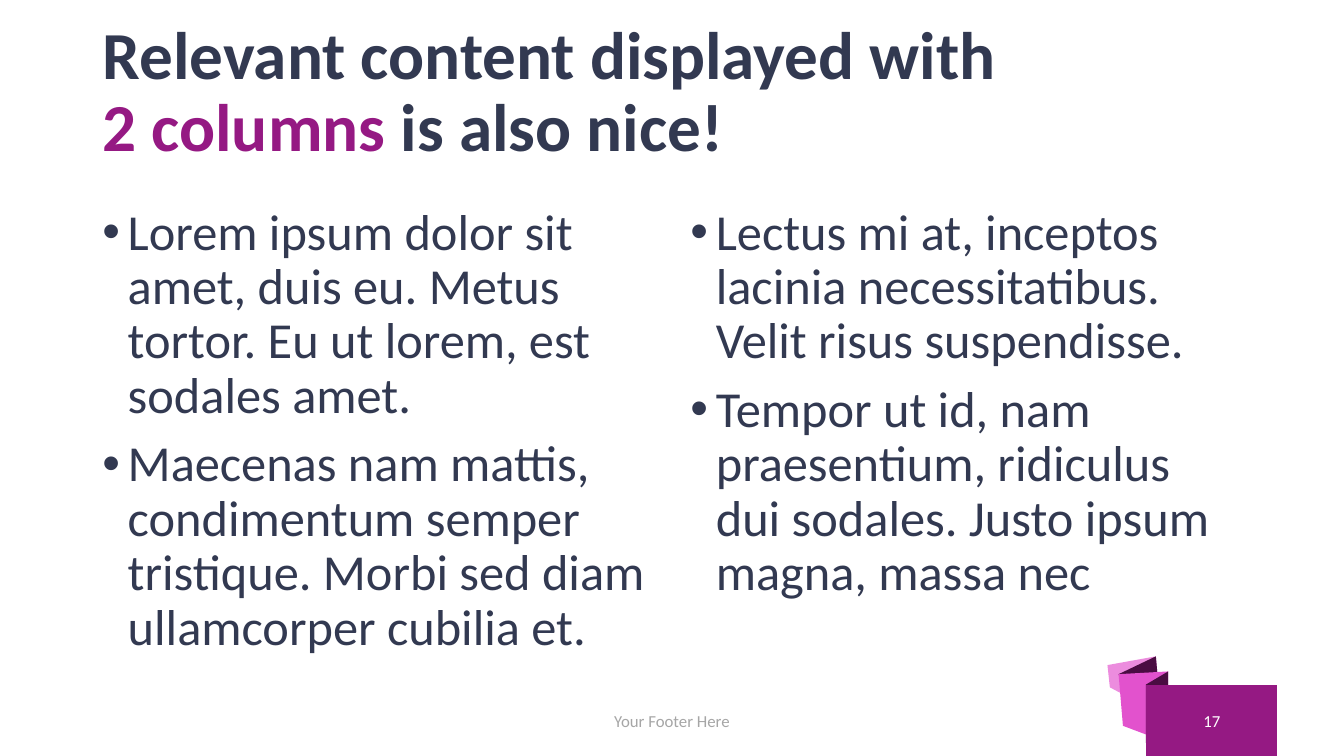
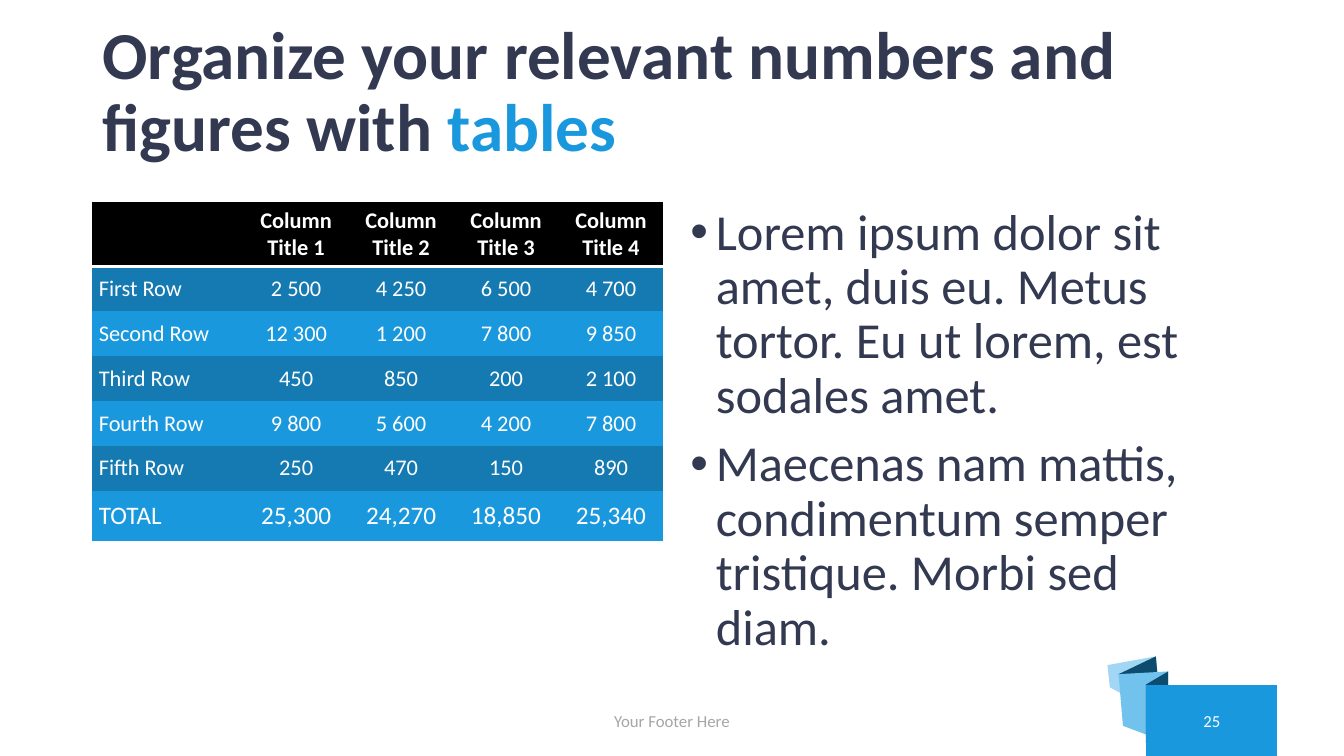
import lxml.etree
import pptx
import pptx.dml.color
import pptx.enum.text
import pptx.oxml.ns
import pptx.util

Cm = pptx.util.Cm
Pt = pptx.util.Pt
qn = pptx.oxml.ns.qn
ALIGN = pptx.enum.text.PP_ALIGN
MIDDLE = pptx.enum.text.MSO_ANCHOR.MIDDLE

FONT = "Calibri"
INK, GREY, WHITE, BLACK = "323951", "A6A6A6", "FFFFFF", "000000"
PURPLE = {"light": "EC8CDE", "mid": "E252CD", "base": "951983", "dark": "4A0C42"}
BLUE = {"light": "A1D7F4", "mid": "72C2EE", "base": "1A98DD", "dark": "0D4C6E",
        "row": "157AB1"}

# All positions are in centimetres.
SLIDE_WIDTH, SLIDE_HEIGHT = 33.87, 19.05
LEFT, CONTENT_WIDTH = 2.33, 29.21
BODY_TOP, BODY_HEIGHT = 5.08, 12.09
COLUMN_WIDTH = 14.39
RIGHT_COLUMN = LEFT + CONTENT_WIDTH - COLUMN_WIDTH
FOOTER_TOP, FOOTER_HEIGHT = 17.65, 1.02
FOOTER_WIDTH = 11.43

RIBBON = [
    ("light", [(29.26, 18.01), (27.97, 17.32), (27.91, 16.76), (29.13, 16.54)]),
    ("dark", [(28.63, 18.29), (29.26, 18.01), (29.13, 16.54), (28.19, 16.99)]),
    ("mid", [(28.19, 16.99), (29.44, 16.92), (29.44, 18.72), (28.3, 18.29)]),
    ("dark", [(29.44, 18.72), (28.88, 18.72), (28.88, 17.25), (29.44, 16.92)]),
    ("base", [(28.88, 17.25), (32.18, 17.25), (32.18, 19.05), (28.88, 19.05)]),
]


def rgb(color):
    return pptx.dml.color.RGBColor.from_string(color)


def box(left, top, width, height):
    return Cm(left), Cm(top), Cm(width), Cm(height)


def write(paragraph, text, size, color, bold=False):
    run = paragraph.add_run()
    run.text = text
    run.font.name = FONT
    run.font.size = Pt(size)
    run.font.bold = bold
    run.font.color.rgb = rgb(color)


def add_bullet(paragraph):
    properties = paragraph._p.get_or_add_pPr()
    properties.set("marL", str(Cm(0.64)))
    properties.set("indent", str(-Cm(0.64)))
    lxml.etree.SubElement(properties, qn("a:buFont")).set("typeface", "Arial")
    lxml.etree.SubElement(properties, qn("a:buChar")).set("char", "•")


def underline_cell(cell, color, width):
    """Give a table cell a bottom border; borders must precede the fill."""
    border = lxml.etree.Element(qn("a:lnB"), w=str(Pt(width)))
    fill = lxml.etree.SubElement(border, qn("a:solidFill"))
    lxml.etree.SubElement(fill, qn("a:srgbClr")).set("val", color)
    cell._tc.get_or_add_tcPr().insert(0, border)


class Deck:
    """Holds the presentation, the current slide and its accent palette."""

    def __init__(self):
        self.presentation = pptx.Presentation()
        self.presentation.slide_width = Cm(SLIDE_WIDTH)
        self.presentation.slide_height = Cm(SLIDE_HEIGHT)

    def start_slide(self, palette, number, title_lines):
        """Add a slide; title_lines holds lines of (text, color) pairs."""
        layout = self.presentation.slide_layouts[5]
        self.slide = self.presentation.slides.add_slide(layout)
        self.palette = palette
        self.title(title_lines)
        self.ribbon()
        self.caption("Your Footer Here", (SLIDE_WIDTH - FOOTER_WIDTH) / 2,
                     FOOTER_WIDTH, GREY)
        self.caption(number, 29.54, 2, WHITE)

    def title(self, lines):
        title = self.slide.shapes.title
        title.left, title.top, title.width, title.height = box(
            LEFT, 0.79, CONTENT_WIDTH, 3.15)
        frame = title.text_frame
        frame.auto_size = pptx.enum.text.MSO_AUTO_SIZE.NONE
        frame.word_wrap = True
        frame.vertical_anchor = MIDDLE
        paragraph = frame.paragraphs[0]
        paragraph.alignment = ALIGN.LEFT
        paragraph.line_spacing = 0.9
        for index, line in enumerate(lines):
            if index:
                paragraph.add_line_break()
            for text, color in line:
                write(paragraph, text, 48, color, bold=True)

    def ribbon(self):
        folds = self.slide.shapes.add_group_shape().shapes
        for tone, corners in RIBBON:
            points = [(Cm(x), Cm(y)) for x, y in corners]
            outline = folds.build_freeform(*points[0])
            outline.add_line_segments(points[1:], close=True)
            fold = outline.convert_to_shape()
            fold.shadow.inherit = False
            fold.fill.solid()
            fold.fill.fore_color.rgb = rgb(self.palette[tone])
            fold.line.fill.background()

    def text_frame(self, left, top, width, height):
        frame = self.slide.shapes.add_textbox(*box(left, top, width, height)).text_frame
        frame.word_wrap = True
        return frame

    def caption(self, text, left, width, color):
        frame = self.text_frame(left, FOOTER_TOP, width, FOOTER_HEIGHT)
        frame.vertical_anchor = MIDDLE
        frame.paragraphs[0].alignment = ALIGN.CENTER
        write(frame.paragraphs[0], text, 12, color)

    def bullets(self, left, items):
        frame = self.text_frame(left, BODY_TOP, COLUMN_WIDTH, BODY_HEIGHT)
        for index, item in enumerate(items):
            paragraph = frame.add_paragraph() if index else frame.paragraphs[0]
            paragraph.line_spacing = 0.9
            paragraph.space_before = Pt(10)
            add_bullet(paragraph)
            write(paragraph, item, 36, INK)

    def table(self, rows):
        """Draw rows with a black header and a larger total in the last row."""
        label_width, header_height, row_height, total_height = 3.81, 1.64, 1.13, 1.27
        heights = [header_height] + [row_height] * (len(rows) - 2) + [total_height]
        graphic = self.slide.shapes.add_table(
            len(rows), len(rows[0]),
            *box(LEFT, BODY_TOP, COLUMN_WIDTH, sum(heights)))
        table = graphic.table
        table.first_row = table.horz_banding = False
        no_style_no_grid = "{2D5ABB26-0587-4C30-8999-92F81FD0307C}"
        next(graphic.element.iter(qn("a:tableStyleId"))).text = no_style_no_grid
        value_width = (COLUMN_WIDTH - label_width) / (len(rows[0]) - 1)
        for index, column in enumerate(table.columns):
            column.width = Cm(value_width if index else label_width)
        for row_index, values in enumerate(rows):
            table.rows[row_index].height = Cm(heights[row_index])
            header = row_index == 0
            size = 18 if row_index == len(rows) - 1 else 16
            band = self.palette["row" if row_index % 2 else "base"]
            for column_index, value in enumerate(values):
                cell = table.cell(row_index, column_index)
                cell.margin_left = cell.margin_right = Cm(0.16)
                cell.margin_top = cell.margin_bottom = Cm(0.13)
                cell.vertical_anchor = MIDDLE
                cell.fill.solid()
                cell.fill.fore_color.rgb = rgb(BLACK if header else band)
                if header:
                    underline_cell(cell, WHITE, 2)
                if value:
                    paragraph = cell.text_frame.paragraphs[0]
                    paragraph.alignment = ALIGN.CENTER if column_index else ALIGN.LEFT
                    write(paragraph, value, size, WHITE, bold=header)


def main():
    deck = Deck()
    lorem = ("Lorem ipsum dolor sit amet, duis eu. Metus tortor. "
             "Eu ut lorem, est sodales amet.")

    deck.start_slide(PURPLE, "17", [
        [("Relevant content displayed with ", INK)],
        [("2 columns ", PURPLE["base"]), ("is also nice!", INK)],
    ])
    deck.bullets(LEFT, [
        lorem,
        "Maecenas nam mattis, condimentum semper tristique. "
        "Morbi sed diam ullamcorper cubilia et.",
    ])
    deck.bullets(RIGHT_COLUMN, [
        "Lectus mi at, inceptos lacinia necessitatibus. Velit risus suspendisse.",
        "Tempor ut id, nam praesentium, ridiculus dui sodales. "
        "Justo ipsum magna, massa nec",
    ])

    deck.start_slide(BLUE, "25", [
        [("Organize your relevant numbers and figures with ", INK),
         ("tables", BLUE["base"])],
    ])
    deck.table([
        [""] + [f"Column Title {number}" for number in range(1, 5)],
        ["First Row", "2 500", "4 250", "6 500", "4 700"],
        ["Second Row", "12 300", "1 200", "7 800", "9 850"],
        ["Third Row", "450", "850", "200", "2 100"],
        ["Fourth Row", "9 800", "5 600", "4 200", "7 800"],
        ["Fifth Row", "250", "470", "150", "890"],
        ["TOTAL", "25,300", "24,270", "18,850", "25,340"],
    ])
    deck.bullets(RIGHT_COLUMN, [
        lorem,
        "Maecenas nam mattis, condimentum semper tristique. Morbi sed diam.",
    ])

    deck.presentation.save("out.pptx")


if __name__ == "__main__":
    main()
